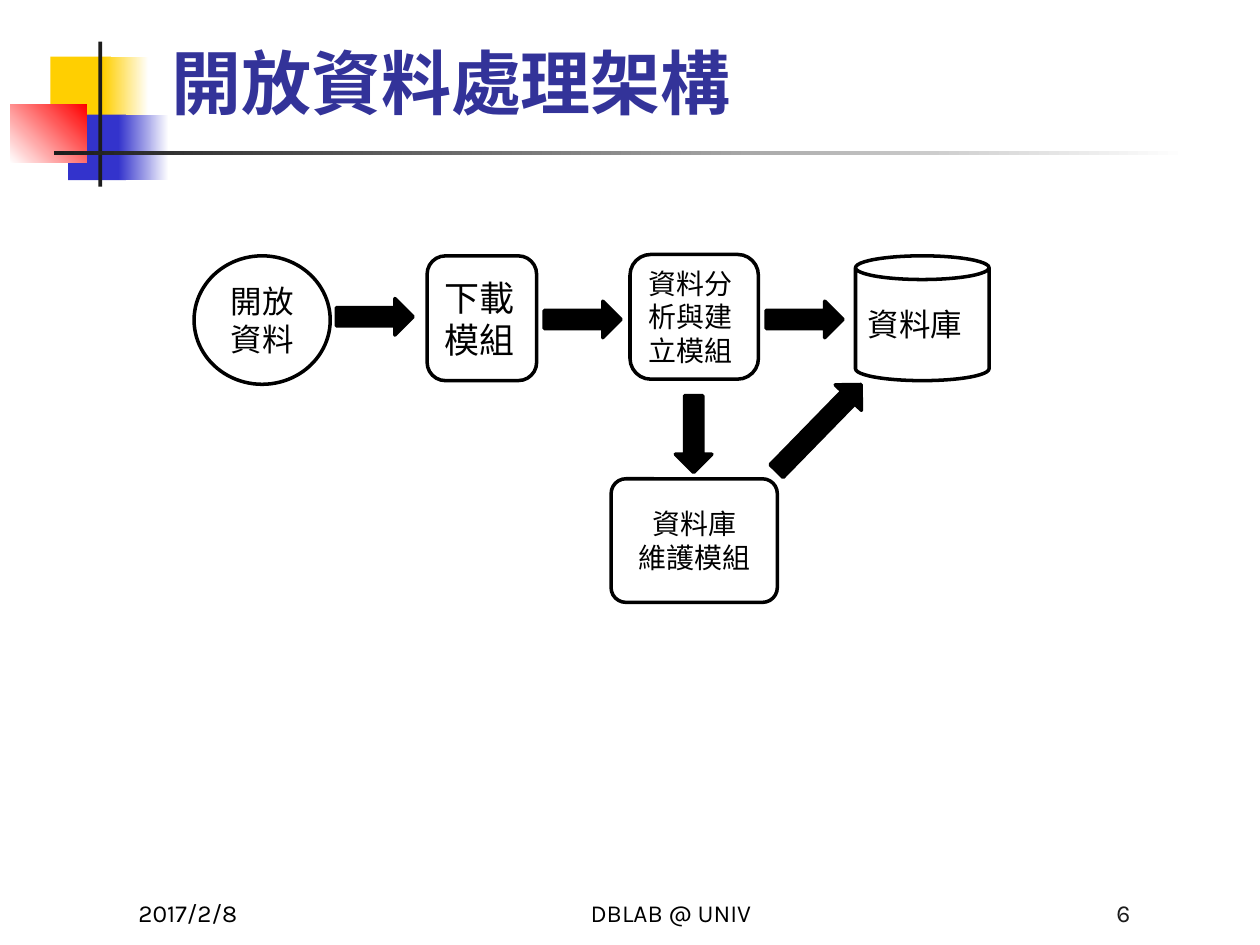
from pptx import Presentation
from pptx.dml.color import RGBColor
from pptx.enum.shapes import MSO_SHAPE
from pptx.enum.text import MSO_ANCHOR, MSO_AUTO_SIZE, PP_ALIGN
from pptx.util import Pt

FONT = "Karla"
BLACK = RGBColor(0x00, 0x00, 0x00)
WHITE = RGBColor(0xFF, 0xFF, 0xFF)
CHARCOAL = RGBColor(0x1C, 0x1C, 0x1C)
YELLOW = RGBColor(0xFF, 0xCF, 0x01)
BLUE = RGBColor(0x33, 0x33, 0xCC)
RED = RGBColor(0xFF, 0x00, 0x00)
TITLE_BLUE = RGBColor(0x33, 0x33, 0x99)


def write(sp, lines, size, color=BLACK, align=PP_ALIGN.LEFT,
          anchor=MSO_ANCHOR.MIDDLE, bold=False):
    tf = sp.text_frame
    tf.word_wrap = True
    tf.auto_size = MSO_AUTO_SIZE.NONE
    tf.vertical_anchor = anchor
    tf.text = "\n".join(lines)
    for p in tf.paragraphs:
        p.alignment = align
        p.font.name = FONT
        p.font.size = Pt(size)
        p.font.bold = bold
        p.font.color.rgb = color


def add_block(s, kind, box):
    sp = s.shapes.add_shape(kind, *map(Pt, box))
    sp.shadow.inherit = False
    return sp


def add_bar(s, box, start, end=None, angle=0):
    """Borderless rectangle: solid, or a gradient when an end colour is given."""
    sp = add_block(s, MSO_SHAPE.RECTANGLE, box)
    sp.line.fill.background()
    if end is None:
        sp.fill.solid()
        sp.fill.fore_color.rgb = start
        return
    sp.fill.gradient()
    sp.fill.gradient_angle = angle
    for stop, position, color in zip(sp.fill.gradient_stops, (0, 1), (start, end)):
        stop.position = position
        stop.color.rgb = color


def add_outlined(s, kind, box, fill, adj=None):
    sp = add_block(s, kind, box)
    sp.fill.solid()
    sp.fill.fore_color.rgb = fill
    sp.line.color.rgb = BLACK
    sp.line.width = Pt(2)
    if adj is not None:
        sp.adjustments[0] = adj
    return sp


def add_node(s, kind, box, lines, size, align=PP_ALIGN.LEFT, adj=None):
    write(add_outlined(s, kind, box, WHITE, adj), lines, size, align=align)


def add_arrow(s, left, top, length=43.9, rotation=0):
    sp = add_outlined(s, MSO_SHAPE.RIGHT_ARROW, (left, top, length, 20.9), BLACK)
    sp.rotation = rotation


def add_decoration(s):
    add_bar(s, (28.8, 32.4, 34.6, 37.4), YELLOW)
    add_bar(s, (59, 32.4, 25.9, 37.4), YELLOW, WHITE)
    add_bar(s, (38.9, 65.5, 33.1, 37.4), BLUE)
    add_bar(s, (67.7, 65.5, 28.8, 37.4), BLUE, WHITE)
    add_bar(s, (5.8, 59.8, 43.9, 33.1), WHITE, RED, 45)
    add_bar(s, (56.2, 23.8, 2.2, 82.8), CHARCOAL)
    add_bar(s, (31, 86.4, 648, 2.2), CHARCOAL, WHITE)


def add_title(s, text):
    sp = s.shapes.title
    sp.left, sp.top, sp.width, sp.height = map(Pt, (90.7, 12.2, 613.4, 61.9))
    write(sp, [text], 40, TITLE_BLUE, anchor=MSO_ANCHOR.BOTTOM, bold=True)


def add_footer(s, left, width, text, align, color=BLACK):
    sp = s.shapes.add_textbox(Pt(left), Pt(497.5), Pt(width), Pt(36))
    write(sp, [text], 14, color, align, MSO_ANCHOR.BOTTOM)


def add_flow(s):
    rounded = MSO_SHAPE.ROUNDED_RECTANGLE
    add_node(s, MSO_SHAPE.OVAL, (110.9, 146.2, 77.8, 73.4), ["開放資料"], 18,
             PP_ALIGN.CENTER)
    add_node(s, rounded, (244.1, 146.2, 62.6, 71.3), ["下載模組"], 20)
    add_node(s, rounded, (360, 145.4, 73.4, 71.3), ["資料分", "析與建", "立模組"], 16)
    add_node(s, MSO_SHAPE.CAN, (488.9, 146.2, 76.3, 71.3), ["資料庫"], 18, adj=0.19)
    add_node(s, rounded, (349.2, 273.6, 95, 70.6), ["資料庫", "維護模組"], 16,
             PP_ALIGN.CENTER, 0.12)

    for left, top in ((192.2, 170.6), (311, 172.1), (437.8, 172.1)):
        add_arrow(s, left, top)
    add_arrow(s, 374.4, 237.6, rotation=90)
    add_arrow(s, 433.4, 234, length=69.1, rotation=314.3)


def main():
    prs = Presentation()
    prs.slide_width, prs.slide_height = Pt(720), Pt(540)
    s = prs.slides.add_slide(prs.slide_layouts[5])
    add_decoration(s)
    add_title(s, "開放資料處理架構")
    add_footer(s, 72, 149.8, "2017/2/8", PP_ALIGN.LEFT)
    add_footer(s, 269.3, 228.2, "DBLAB @ UNIV", PP_ALIGN.CENTER)
    add_footer(s, 503.3, 149.8, "6", PP_ALIGN.RIGHT, CHARCOAL)
    add_flow(s)
    prs.save("out.pptx")


if __name__ == "__main__":
    main()
